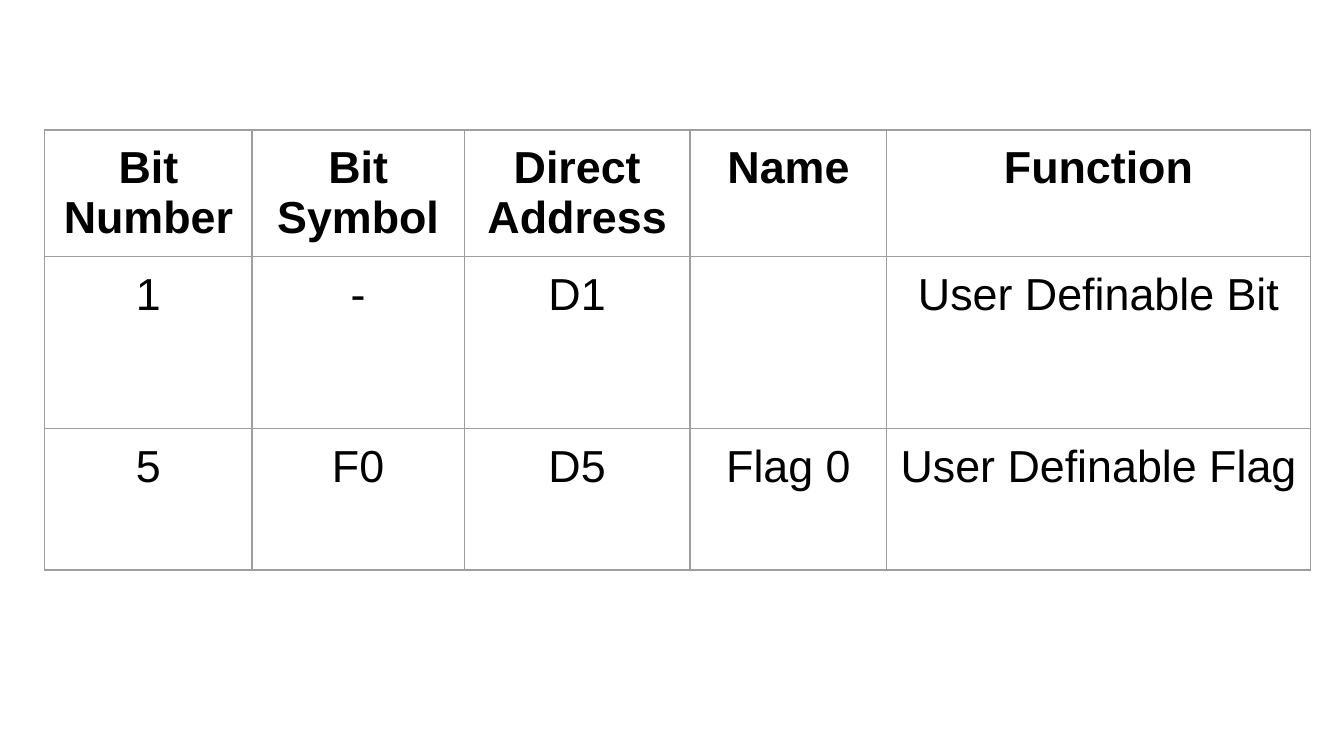
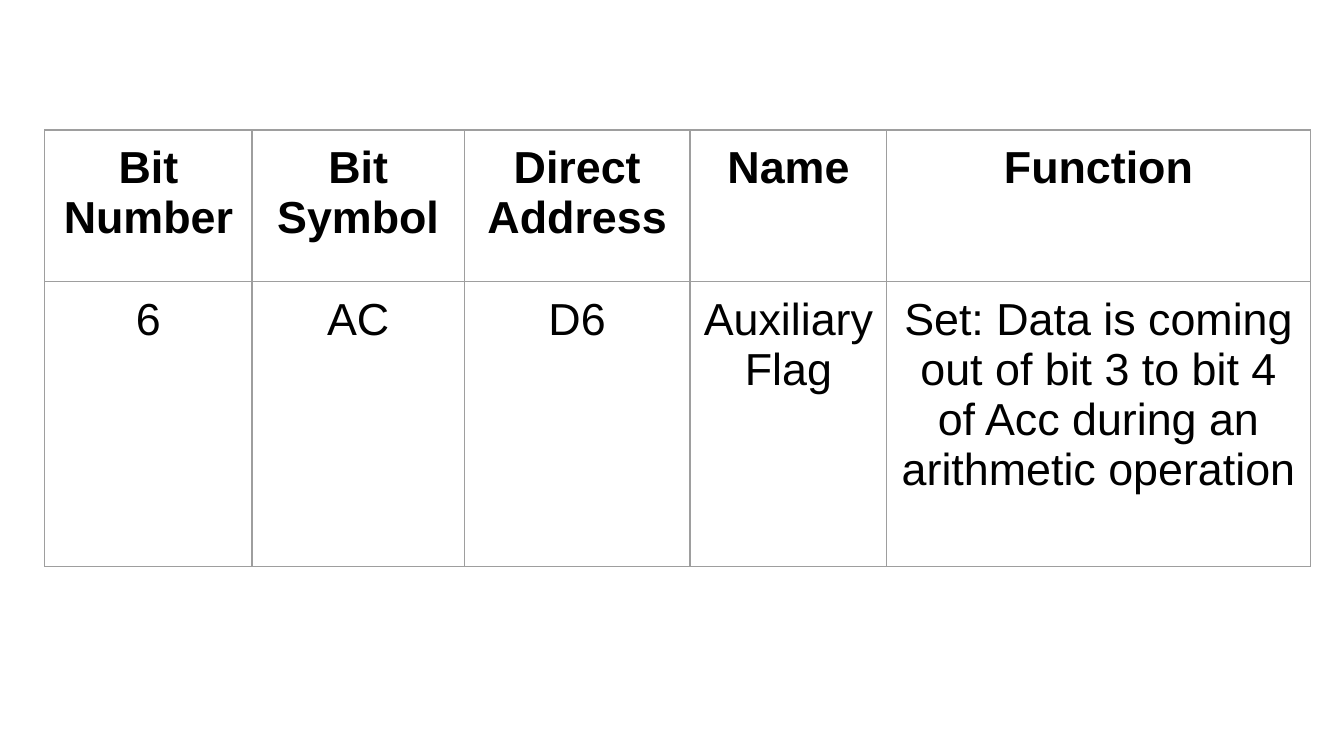
from lxml.etree import SubElement
from pptx import Presentation
from pptx.dml.color import RGBColor
from pptx.enum.text import PP_ALIGN
from pptx.oxml.ns import qn
from pptx.util import Pt

COLORS = {"text": "000000", "border": "9E9E9E"}
FONT = "Arial"
FONT_SIZE = 24
CELL_INSET = 7.2
BORDER_WIDTH = 0.75

TABLE_LEFT, TABLE_TOP = 24, 69.6
COLUMN_WIDTHS = [111, 113.7, 121, 105.4, 226.8]
HEADINGS = ["Bit Number", "Bit Symbol", "Direct Address", "Name", "Function"]

# Each slide: row heights with the heading row first, then the bit rows
BIT_SLIDES = [
    ([68, 92.2, 75.6], [
        ["1", "-", "D1", "", "User Definable Bit"],
        ["5", "F0", "D5", "Flag 0", "User Definable Flag"],
    ]),
    ([81.4, 152.6], [
        ["6", "AC", "D6", "Auxiliary Flag",
         "Set: Data is coming out of bit 3 to bit 4 of Acc "
         "during an arithmetic operation"],
    ]),
]


def add_borders(cell):
    properties = cell._tc.get_or_add_tcPr()
    for position, side in enumerate(("a:lnL", "a:lnR", "a:lnT", "a:lnB")):
        line = SubElement(properties, qn(side), w=str(Pt(BORDER_WIDTH)))
        fill = SubElement(line, qn("a:solidFill"))
        SubElement(fill, qn("a:srgbClr"), val=COLORS["border"])
        # Borders come before the cell fill
        properties.insert(position, line)


def fill_cell(cell, text, bold):
    cell.fill.background()
    cell.margin_left = cell.margin_right = Pt(CELL_INSET)
    cell.margin_top = cell.margin_bottom = Pt(CELL_INSET)
    add_borders(cell)
    cell.text = text
    paragraph = cell.text_frame.paragraphs[0]
    paragraph.alignment = PP_ALIGN.CENTER
    paragraph.font.name = FONT
    paragraph.font.size = Pt(FONT_SIZE)
    paragraph.font.bold = bold
    paragraph.font.color.rgb = RGBColor.from_string(COLORS["text"])


def add_bit_table(slide, left, top, row_heights, bits):
    rows = [HEADINGS] + bits
    table = slide.shapes.add_table(
        len(rows), len(HEADINGS), Pt(left), Pt(top),
        Pt(sum(COLUMN_WIDTHS)), Pt(sum(row_heights))).table
    table.horz_banding = False
    table.first_row = False
    for column, width in zip(table.columns, COLUMN_WIDTHS):
        column.width = Pt(width)
    for row, height in zip(table.rows, row_heights):
        row.height = Pt(height)
    for row_index, texts in enumerate(rows):
        for column_index, text in enumerate(texts):
            fill_cell(table.cell(row_index, column_index), text,
                      bold=row_index == 0)


def main():
    deck = Presentation()
    deck.slide_width, deck.slide_height = Pt(720), Pt(405)
    blank = deck.slide_layouts[6]
    for row_heights, bits in BIT_SLIDES:
        slide = deck.slides.add_slide(blank)
        add_bit_table(slide, TABLE_LEFT, TABLE_TOP, row_heights, bits)
    deck.save("out.pptx")


if __name__ == "__main__":
    main()
